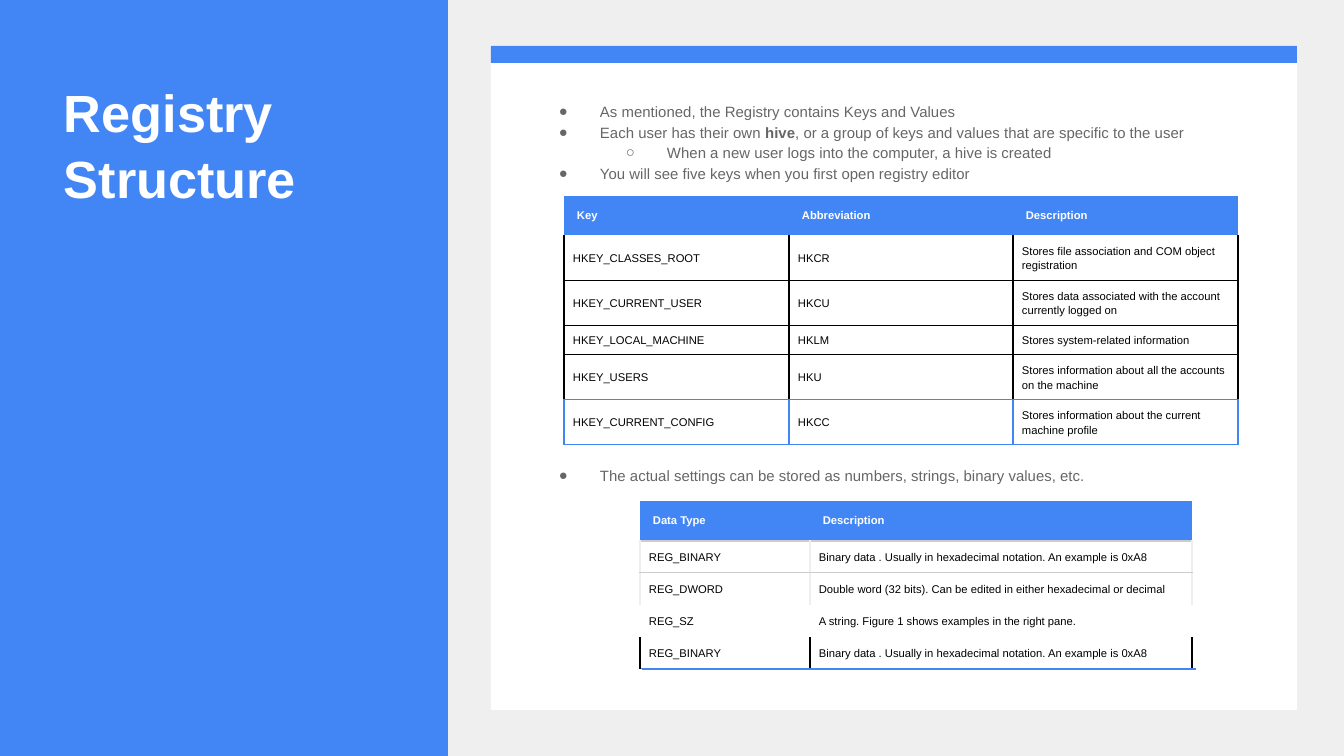
from lxml import etree
from pptx import Presentation
from pptx.dml.color import RGBColor
from pptx.enum.shapes import MSO_CONNECTOR, MSO_SHAPE
from pptx.enum.text import MSO_ANCHOR
from pptx.oxml.ns import qn
from pptx.util import Emu, Pt

EMU_PER_PX = 914400 / 134.4
RECTANGLE = MSO_SHAPE.RECTANGLE
STRAIGHT = MSO_CONNECTOR.STRAIGHT
TOP = MSO_ANCHOR.TOP
MIDDLE = MSO_ANCHOR.MIDDLE

BLUE = RGBColor(0x42, 0x85, 0xF4)
WHITE = RGBColor(0xFF, 0xFF, 0xFF)
BLACK = RGBColor(0x00, 0x00, 0x00)
GRAY = RGBColor(0x66, 0x66, 0x66)
BACKDROP = RGBColor(0xEF, 0xEF, 0xEF)
PALE = RGBColor(0xEE, 0xEE, 0xEE)
SILVER = RGBColor(0xCC, 0xCC, 0xCC)

# Border colours of a table row: sides, top, bottom
NO_BORDER = (None, None, None)
BLACK_BORDER = (BLACK, BLACK, BLACK)

KEY_ROWS = [
    (39, NO_BORDER, ["Key", "Abbreviation", "Description"]),
    (43, (BLACK, None, BLACK),
     ["HKEY_CLASSES_ROOT", "HKCR", "Stores file association and COM object registration"]),
    (43, BLACK_BORDER,
     ["HKEY_CURRENT_USER", "HKCU", "Stores data associated with the account currently logged on"]),
    (28, BLACK_BORDER,
     ["HKEY_LOCAL_MACHINE", "HKLM", "Stores system-related information"]),
    (43, (BLACK, BLACK, BLUE),
     ["HKEY_USERS", "HKU", "Stores information about all the accounts on the machine"]),
    (43, (BLUE, BLUE, BLUE),
     ["HKEY_CURRENT_CONFIG", "HKCC", "Stores information about the current machine profile"]),
]
BINARY_TEXTS = ["REG_BINARY", "Binary data . Usually in hexadecimal notation. An example is 0xA8"]
TYPE_ROWS = [
    (40, (None, None, SILVER), ["Data Type", "Description"]),
    (32, (PALE, SILVER, SILVER), BINARY_TEXTS),
    (32, (PALE, SILVER, None),
     ["REG_DWORD", "Double word (32 bits). Can be edited in either hexadecimal or decimal"]),
    (32, NO_BORDER, ["REG_SZ", "A string. Figure 1 shows examples in the right pane."]),
    (32, (BLACK, None, BLUE), BINARY_TEXTS),
]

# Level, space before in points, runs of (text, bold)
BULLETS = [
    (0, 0, [("As mentioned, the Registry contains Keys and Values", False)]),
    (0, 0, [("Each user has their own ", False), ("hive", True),
            (", or a group of keys and values that are specific to the user", False)]),
    (1, 0, [("When a new user logs into the computer, a hive is created", False)]),
    (0, 0, [("You will see five keys when you first open registry editor", False)]),
    (0, 151, [("The actual settings can be stored as numbers, strings, binary values, etc.", False)]),
]


def px(length):
    return Emu(round(length * EMU_PER_PX))


class SlideBuilder:
    font_name = "Arial"
    line_width = Pt(0.75)
    inset = 13
    bullet_characters = "●○"

    def __init__(self, slide):
        self.slide = slide

    def rectangle(self, left, top, width, height, color):
        shape = self.slide.shapes.add_shape(
            RECTANGLE, px(left), px(top), px(width), px(height))
        shape.shadow.inherit = False
        shape.fill.solid()
        shape.fill.fore_color.rgb = color
        shape.line.fill.background()

    def run(self, paragraph, text, size, color, bold=False):
        run = paragraph.add_run()
        run.text = text
        run.font.name = self.font_name
        run.font.size = Pt(size)
        run.font.bold = bold
        run.font.color.rgb = color

    def text_frame(self, left, top, width, height):
        box = self.slide.shapes.add_textbox(px(left), px(top), px(width), px(height))
        frame = box.text_frame
        frame.word_wrap = True
        frame.margin_left = frame.margin_right = px(self.inset)
        frame.margin_top = frame.margin_bottom = px(self.inset)
        return frame

    def title(self, left, top, width, height, text):
        paragraph = self.text_frame(left, top, width, height).paragraphs[0]
        paragraph.line_spacing = 1.06
        self.run(paragraph, text, 28, WHITE, True)

    def bullets(self, left, top, width, height, items):
        frame = self.text_frame(left, top, width, height)
        for index, (level, space_before, runs) in enumerate(items):
            paragraph = frame.add_paragraph() if index else frame.paragraphs[0]
            self.bullet(paragraph, level)
            paragraph.line_spacing = 1.15
            if space_before:
                paragraph.space_before = Pt(space_before)
            for text, bold in runs:
                self.run(paragraph, text, 8, GRAY, bold)

    def bullet(self, paragraph, level):
        paragraph.level = level
        properties = paragraph._p.get_or_add_pPr()
        properties.set("marL", str(px(67 * (level + 1))))
        properties.set("indent", str(px(-41)))
        color = etree.SubElement(properties, qn("a:buClr"))
        etree.SubElement(color, qn("a:srgbClr"), val=str(GRAY))
        etree.SubElement(properties, qn("a:buFont"), typeface=self.font_name)
        etree.SubElement(properties, qn("a:buChar"), char=self.bullet_characters[level])

    def table(self, left, top, column_widths, rows):
        heights = [height for height, _, _ in rows]
        table = self.slide.shapes.add_table(
            len(rows), len(column_widths), px(left), px(top),
            px(sum(column_widths)), px(sum(heights))).table
        table.first_row = table.horz_banding = False
        for column, width in zip(table.columns, column_widths):
            column.width = px(width)
        for row_index, (height, borders, texts) in enumerate(rows):
            table.rows[row_index].height = px(height)
            for column_index, text in enumerate(texts):
                cell = table.cell(row_index, column_index)
                self.cell(cell, text, borders, row_index == 0)

    def cell(self, cell, text, borders, is_header):
        cell.margin_left = cell.margin_right = px(13 if is_header else 9)
        cell.margin_top = cell.margin_bottom = px(13 if is_header else 7)
        cell.vertical_anchor = TOP if is_header else MIDDLE
        paragraph = cell.text_frame.paragraphs[0]
        if not is_header:
            paragraph.line_spacing = 1.15
        self.run(paragraph, text, 6, WHITE if is_header else BLACK, is_header)
        self.cell_borders(cell, *borders)
        if is_header:
            cell.fill.solid()
            cell.fill.fore_color.rgb = BLUE
        else:
            cell.fill.background()

    def cell_borders(self, cell, side, top, bottom):
        properties = cell._tc.get_or_add_tcPr()
        for tag, color in (("a:lnL", side), ("a:lnR", side), ("a:lnT", top), ("a:lnB", bottom)):
            line = etree.SubElement(properties, qn(tag), w=str(self.line_width))
            if color is None:
                etree.SubElement(line, qn("a:noFill"))
            else:
                fill = etree.SubElement(line, qn("a:solidFill"))
                etree.SubElement(fill, qn("a:srgbClr"), val=str(color))

    def line(self, start_x, start_y, end_x, end_y, color):
        connector = self.slide.shapes.add_connector(
            STRAIGHT, px(start_x), px(start_y), px(end_x), px(end_y))
        connector.line.color.rgb = color
        connector.line.width = self.line_width
        etree.SubElement(connector._element.spPr, qn("a:effectLst"))


def main():
    presentation = Presentation()
    presentation.slide_width = px(1344)
    presentation.slide_height = px(756)
    builder = SlideBuilder(presentation.slides.add_slide(presentation.slide_layouts[6]))

    builder.rectangle(0, 0, 1344, 756, BACKDROP)
    builder.rectangle(491, 46, 806, 664, WHITE)
    builder.rectangle(0, 0, 448, 756, BLUE)
    builder.rectangle(491, 46, 806, 17, BLUE)

    builder.title(51, 63, 345, 646, "Registry Structure")
    builder.bullets(520, 87, 749, 590, BULLETS)
    builder.table(564, 196, [225, 224, 225], KEY_ROWS)
    builder.table(640, 501, [170, 382], TYPE_ROWS)
    builder.line(642, 669, 1196, 669, BLUE)

    presentation.save("out.pptx")


if __name__ == "__main__":
    main()
